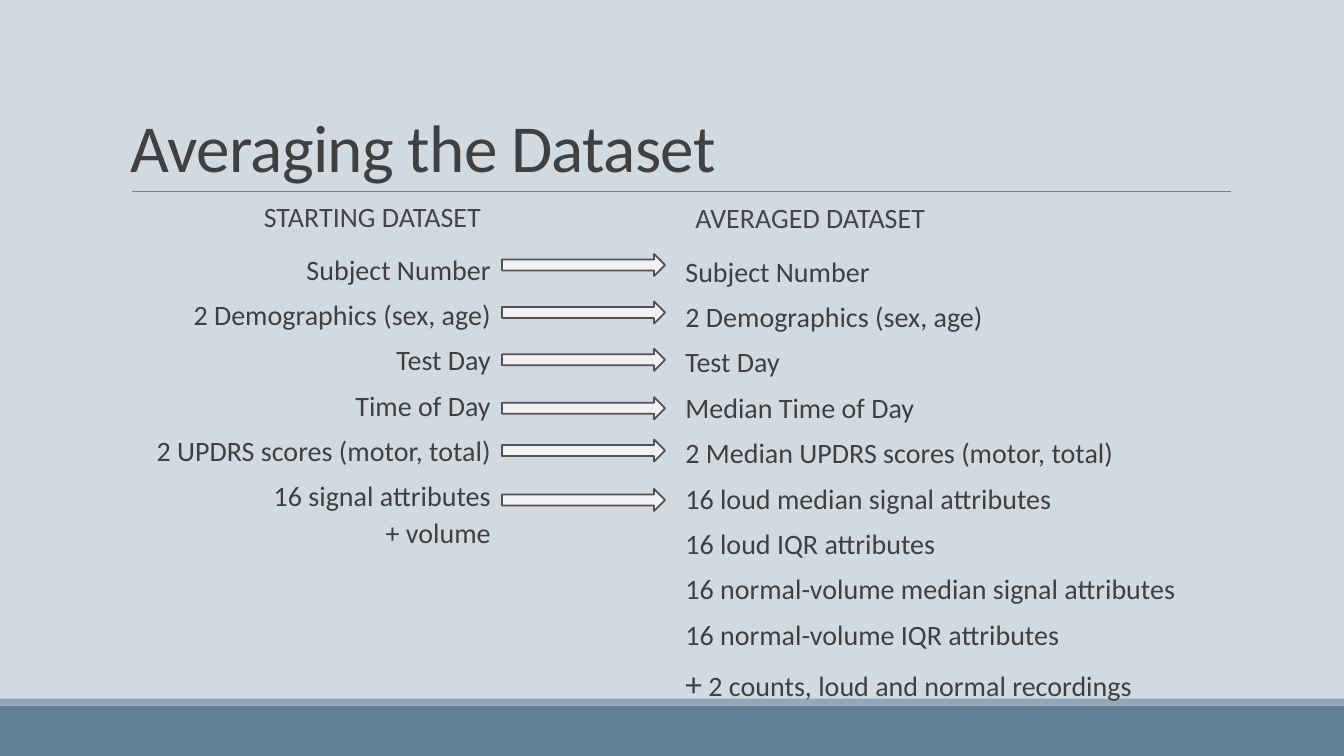
"""Build the slide that maps the starting dataset to the averaged dataset."""
from dataclasses import dataclass

from lxml.etree import SubElement
from pptx import Presentation
from pptx.dml.color import RGBColor
from pptx.enum.shapes import MSO_CONNECTOR, MSO_SHAPE
from pptx.enum.text import MSO_ANCHOR, PP_ALIGN
from pptx.oxml.ns import qn
from pptx.util import Pt


@dataclass(frozen=True)
class Theme:
    font: str = "Calibri"
    background: str = "D1D9E1"
    footer: str = "618197"
    footer_edge: str = "92A9B9"
    rule: str = "808080"
    text: str = "404040"
    heading: str = "46464A"
    arrow_fill: str = "F2F2F2"
    arrow_line: str = "525256"
    title_size: int = 48
    body_size: int = 20
    plus_size: int = 24


theme = Theme()


def add_text(box, paragraphs, color, anchor, alignment, line_spacing, before, side_inset):
    """Add a text box; each paragraph is (runs, space after), each run (text, size)."""
    text_box = slide.shapes.add_textbox(*map(Pt, box))
    frame = text_box.text_frame
    frame.word_wrap = True
    frame.vertical_anchor = anchor
    frame.margin_left = frame.margin_right = Pt(side_inset)
    for index, (runs, after) in enumerate(paragraphs):
        paragraph = frame.add_paragraph() if index else frame.paragraphs[0]
        paragraph.alignment = alignment
        paragraph.line_spacing = line_spacing
        paragraph.space_before = Pt(before)
        paragraph.space_after = Pt(after)
        for text, size in runs:
            run = paragraph.add_run()
            run.text = text
            run.font.name = theme.font
            run.font.size = Pt(size)
            run.font.color.rgb = RGBColor.from_string(color)
    return text_box


def add_shape(kind, box, fill, line=None):
    """Add a filled preset shape, outlined only when a line colour is given."""
    shape = slide.shapes.add_shape(kind, *map(Pt, box))
    shape.shadow.inherit = False
    shape.fill.solid()
    shape.fill.fore_color.rgb = RGBColor.from_string(fill)
    if line:
        shape.line.color.rgb = RGBColor.from_string(line)
        shape.line.width = Pt(1.25)
    else:
        shape.line.fill.background()


presentation = Presentation()
presentation.slide_width = Pt(960)
presentation.slide_height = Pt(540)
slide = presentation.slides.add_slide(presentation.slide_layouts[6])
slide.background.fill.solid()
slide.background.fill.fore_color.rgb = RGBColor.from_string(theme.background)

add_shape(MSO_SHAPE.RECTANGLE, (0, 504, 960, 36), theme.footer)
add_shape(MSO_SHAPE.RECTANGLE, (0, 499, 960, 5), theme.footer_edge)

rule = slide.shapes.add_connector(
    MSO_CONNECTOR.STRAIGHT, Pt(94), Pt(136.8), Pt(879), Pt(136.8)
)
rule.line.color.rgb = RGBColor.from_string(theme.rule)
rule.line.width = Pt(0.5)
SubElement(rule._element.spPr, qn("a:effectLst"))

title = add_text(
    (86.4, 22.5, 792, 114.3), [([("Averaging the Dataset", theme.title_size)], 0)],
    theme.text, MSO_ANCHOR.BOTTOM, PP_ALIGN.LEFT, 0.85, 0, 7.2,
)
title.text_frame.paragraphs[0].runs[0]._r.get_or_add_rPr().set("spc", "-50")

starting_items = [
    "Subject Number",
    "2 Demographics (sex, age)",
    "Test Day",
    "Time of Day",
    "2 UPDRS scores (motor, total)",
    "16 signal attributes",
    "+ volume",
]
averaged_items = [
    "Subject Number",
    "2 Demographics (sex, age)",
    "Test Day",
    "Median Time of Day",
    "2 Median UPDRS scores (motor, total)",
    "16 loud median signal attributes",
    "16 loud IQR attributes",
    "16 normal-volume median signal attributes",
    "16 normal-volume IQR attributes",
]
starting_paragraphs = [
    ([(item, theme.body_size)], 0 if item == "16 signal attributes" else 6)
    for item in starting_items
]
averaged_paragraphs = [([(item, theme.body_size)], 6) for item in averaged_items]
averaged_paragraphs.append((
    [("+", theme.plus_size), (" 2 counts, loud and normal recordings", theme.body_size)], 6
))

columns = [
    ("STARTING DATASET", starting_paragraphs, 86.4, 264.2, 136.8, 174.2, 265.7, PP_ALIGN.RIGHT),
    ("AVERAGED DATASET", averaged_paragraphs, 489.6, 388.8, 137.5, 175.7, 331.2, PP_ALIGN.LEFT),
]
for heading, paragraphs, left, width, heading_top, list_top, list_height, alignment in columns:
    add_text(
        (left, heading_top, width, 38.5), [([(heading, theme.body_size)], 2)],
        theme.heading, MSO_ANCHOR.MIDDLE, alignment, 0.9, 12, 7.2,
    )
    add_text(
        (left, list_top, width, list_height), paragraphs,
        theme.text, MSO_ANCHOR.TOP, alignment, 1.1, 0, 0,
    )

for arrow_top in (181.4, 215.3, 249.1, 283.7, 313.9, 349.2):
    add_shape(
        MSO_SHAPE.RIGHT_ARROW, (358.5, arrow_top, 116.6, 15.8),
        theme.arrow_fill, theme.arrow_line,
    )

presentation.save("out.pptx")
